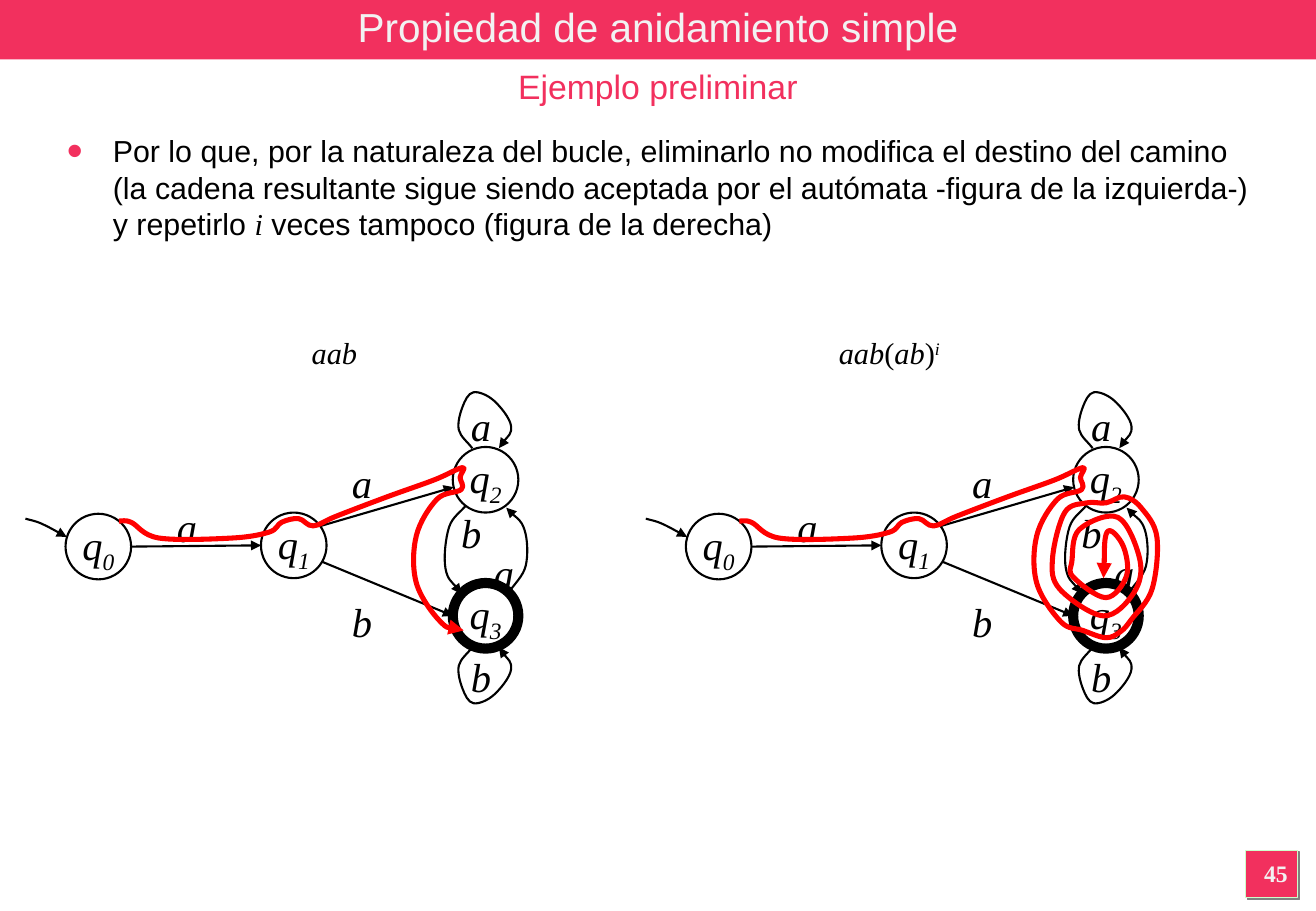
"""Builds the slide on the simple nesting property with two automaton diagrams."""
from math import cos, radians, sin

from lxml import etree
from pptx import Presentation
from pptx.dml.color import RGBColor
from pptx.enum.shapes import MSO_CONNECTOR, MSO_SHAPE
from pptx.enum.text import MSO_ANCHOR, MSO_AUTO_SIZE, PP_ALIGN
from pptx.oxml.ns import qn
from pptx.util import Inches, Pt

RECTANGLE, ELLIPSE = MSO_SHAPE.RECTANGLE, MSO_SHAPE.OVAL
STRAIGHT = MSO_CONNECTOR.STRAIGHT
CENTER, LEFT, MIDDLE = PP_ALIGN.CENTER, PP_ALIGN.LEFT, MSO_ANCHOR.MIDDLE
NO_FIT, GROW = MSO_AUTO_SIZE.NONE, MSO_AUTO_SIZE.SHAPE_TO_FIT_TEXT
PINK, PALE, BLACK, RED = "F2305E", "F2F2F2", "000000", "FF0000"
GREEN, GRAY = "CCFFCC", "808080"
SANS, SERIF = "Arial", "Times New Roman"
SLIDE_WIDTH, SLIDE_HEIGHT = 10.84, 7.5
THIN, ROUTE_WIDTH, FINAL_WIDTH = 1.25, 3, 6

TITLE = "Propiedad de anidamiento simple"
SUBTITLE = "Ejemplo preliminar"
BODY = [
    ("Por lo que, por la naturaleza del bucle, eliminarlo no modifica el destino del camino "
     "(la cadena resultante sigue siendo aceptada por el autómata -figura de la izquierda-) "
     "y repetirlo ", SANS),
    ("i", SERIF),
    (" veces tampoco (figura de la derecha)", SANS),
]
PAGE_NUMBER = "45"

NODE_SIZE = 0.54
NODES = {"0": (0.54, 4.23, THIN), "1": (2.15, 4.22, THIN),
         "2": (3.73, 3.68, THIN), "3": (3.73, 4.8, FINAL_WIDTH)}
STRAIGHT_EDGES = [("1", -36, "2", 167), ("1", 30, "3", 180), ("0", 0, "1", 180)]
EDGE_LETTERS = [("a", 1.36, 4.08), ("a", 2.8, 3.72), ("a", 3.78, 3.25), ("b", 3.78, 5.32),
                ("b", 2.8, 4.87), ("b", 3.7, 4.13), ("a", 3.97, 4.46)]

LOOP_MIRROR = 9.02
LOOP_ON_Q2 = [(3.89, 3.69), (3.78, 3.54), (3.81, 3.35), (3.9, 3.23),
              (4.07, 3.3), (4.21, 3.51), (4.11, 3.69)]
LOOP_ON_Q3 = [(x, LOOP_MIRROR - y) for x, y in LOOP_ON_Q2]
ENTRY = [(0.21, 4.27), (0.34, 4.31), (0.55, 4.42)]
Q2_TO_Q3 = [(3.84, 4.16), (3.7, 4.34), (3.67, 4.68), (3.8, 4.89)]
Q3_TO_Q2 = [(4.19, 4.88), (4.33, 4.66), (4.32, 4.36), (4.17, 4.18)]
CURVED_EDGES = [ENTRY, LOOP_ON_Q2, LOOP_ON_Q3, Q2_TO_Q3, Q3_TO_Q2]

SHARED_ROUTE = [
    (0.98, 4.29), (1.08, 4.3), (1.31, 4.43), (1.91, 4.43), (2.22, 4.38), (2.32, 4.3),
    (2.46, 4.27), (2.58, 4.33), (2.77, 4.25), (3.19, 4.09), (3.58, 3.95), (3.81, 3.85),
    (3.79, 3.93), (3.8, 4.03), (3.6, 4.11), (3.43, 4.41), (3.43, 4.8), (3.63, 5.12)]
DIRECT_END = [(3.82, 5.19)]
OUTER_TURN = [
    (3.81, 5.19), (4, 5.25), (4.12, 5.2), (4.21, 5.1), (4.38, 4.85), (4.42, 4.42),
    (4.29, 4.18), (4.15, 4.09), (4, 4.14), (3.84, 4.14)]
MIDDLE_TURN = [
    (3.66, 4.22), (3.56, 4.6), (3.62, 4.85), (3.98, 5.07), (4.23, 4.88), (4.28, 4.61),
    (4.1, 4.26)]
INNER_TURN = [
    (3.78, 4.36), (3.72, 4.62), (3.73, 4.75), (4, 4.92), (4.17, 4.74), (4.14, 4.49),
    (4.01, 4.38), (3.98, 4.76)]

DIAGRAM_STEP = 5.11
DIAGRAMS = [
    {"route": SHARED_ROUTE + DIRECT_END,
     "caption": [("aab", True, 0)],
     "caption_box": (2.35, 2.7, 0.81, 0.4)},
    {"route": SHARED_ROUTE + OUTER_TURN + MIDDLE_TURN + INNER_TURN,
     "caption": [("aab", True, 0), ("(", False, 0), ("ab", True, 0), (")", False, 0),
                 ("i", True, 30)],
     "caption_box": (6.72, 2.7, 1.21, 0.4)},
]


def color(value):
    return RGBColor.from_string(value)


def rim_point(node, angle):
    """Return the point of a node's circle at an angle measured clockwise from the right."""
    left, top, _ = NODES[node]
    radius = NODE_SIZE / 2
    return (left + radius + radius * cos(radians(angle)),
            top + radius + radius * sin(radians(angle)))


def smooth_handles(points):
    """Return start, then two handles and an end for each smooth (Catmull-Rom) segment."""
    last = len(points) - 1
    slopes = []
    for index in range(last + 1):
        before, after = max(index - 1, 0), min(index + 1, last)
        span = 3 * (after - before)
        slopes.append([(end - start) / span for start, end in zip(points[before], points[after])])
    handles = [points[0]]
    for index in range(last):
        (x1, y1), (x2, y2) = points[index:index + 2]
        (dx1, dy1), (dx2, dy2) = slopes[index:index + 2]
        handles += [(x1 + dx1, y1 + dy1), (x2 - dx2, y2 - dy2), (x2, y2)]
    return handles


def set_font(paragraph, name, size, value, alignment=CENTER):
    paragraph.alignment = alignment
    paragraph.space_before = Pt(0)
    paragraph.font.name = name
    paragraph.font.size = Pt(size)
    paragraph.font.color.rgb = color(value)


def place(shape, box):
    shape.left, shape.top, shape.width, shape.height = map(Inches, box)


def add_box(slide, box, kind, fill=None, line=None, width=THIN):
    shape = slide.shapes.add_shape(kind, *map(Inches, box))
    shape.shadow.inherit = False
    if fill:
        shape.fill.solid()
        shape.fill.fore_color.rgb = color(fill)
    else:
        shape.fill.background()
    if line:
        shape.line.color.rgb = color(line)
        shape.line.width = Pt(width)
    else:
        shape.line.fill.background()
    return shape


def add_text(slide, box, runs, name, size, value, wrap=False):
    frame = slide.shapes.add_textbox(*map(Inches, box)).text_frame
    frame.word_wrap = wrap
    frame.auto_size = GROW
    paragraph = frame.paragraphs[0]
    set_font(paragraph, name, size, value)
    for text, italic, baseline in runs:
        run = paragraph.add_run()
        run.text = text
        run.font.italic = italic
        if baseline:
            run.font._element.set("baseline", str(baseline * 1000))
    return paragraph


def style_arrow(shape, value, width):
    shape.line.color.rgb = color(value)
    shape.line.width = Pt(width)
    etree.SubElement(shape.line._get_or_add_ln(), qn("a:tailEnd"), type="triangle")


def add_straight_arrow(slide, start, end, offset):
    (x1, y1), (x2, y2) = start, end
    ends = map(Inches, (x1 + offset, y1, x2 + offset, y2))
    connector = slide.shapes.add_connector(STRAIGHT, *ends)
    style_arrow(connector, BLACK, THIN)
    etree.SubElement(connector._element.spPr, qn("a:effectLst"))


def add_curved_arrow(slide, points, offset, value=BLACK, width=THIN):
    start, *rest = [(Inches(x + offset), Inches(y)) for x, y in smooth_handles(points)]
    builder = slide.shapes.build_freeform(*start)
    builder.add_line_segments(rest, close=False)
    shape = builder.convert_to_shape()
    shape.shadow.inherit = False
    shape.fill.background()
    outline = shape._element.find(".//" + qn("a:path"))
    segments = outline.findall(qn("a:lnTo"))
    for first in range(0, len(segments), 3):
        curve = etree.SubElement(outline, qn("a:cubicBezTo"))
        for segment in segments[first:first + 3]:
            curve.append(segment[0])
            outline.remove(segment)
    style_arrow(shape, value, width)


def add_automaton(slide, offset, route):
    for points in CURVED_EDGES:
        add_curved_arrow(slide, points, offset)
    for source, exit_angle, target, entry_angle in STRAIGHT_EDGES:
        add_straight_arrow(slide, rim_point(source, exit_angle),
                           rim_point(target, entry_angle), offset)
    for digit, (x, y, width) in NODES.items():
        left = x + offset
        add_box(slide, (left, y, NODE_SIZE, NODE_SIZE), ELLIPSE, line=BLACK, width=width)
        add_text(slide, (left + 0.04, y, 0.46, 0.56),
                 [("q", True, 0), (digit, True, -25)], SERIF, 24, BLACK)
    for letter, x, y in EDGE_LETTERS:
        add_text(slide, (x + offset, y, 0.36, 0.5), [(letter, True, 0)], SERIF, 24, BLACK)
    add_curved_arrow(slide, route, offset, RED, ROUTE_WIDTH)


def fill_title(slide, title):
    band = add_box(slide, (0, 0, SLIDE_WIDTH, 0.49), RECTANGLE, PINK)
    slide.shapes._spTree.insert(2, band._element)
    place(title, (0, 0, SLIDE_WIDTH, 0.44))
    title.text_frame.text = TITLE
    title.text_frame.auto_size = NO_FIT
    title.text_frame.vertical_anchor = MIDDLE
    set_font(title.text_frame.paragraphs[0], SANS, 24, PALE)
    add_text(slide, (0, 0.49, SLIDE_WIDTH, 0.44), [(SUBTITLE, False, 0)], SANS, 20, PINK, True)


def fill_body(body):
    place(body, (0.45, 1.04, 9.96, 1.29))
    body.text_frame.auto_size = NO_FIT
    paragraph = body.text_frame.paragraphs[0]
    properties = paragraph._p.get_or_add_pPr()
    properties.set("marL", str(Inches(0.38)))
    properties.set("indent", str(Inches(-0.38)))
    bullet_color = etree.SubElement(properties, qn("a:buClr"))
    etree.SubElement(bullet_color, qn("a:srgbClr"), val=PINK)
    etree.SubElement(properties, qn("a:buSzPct"), val="150000")
    etree.SubElement(properties, qn("a:buFont"), typeface=SANS)
    etree.SubElement(properties, qn("a:buChar"), char="•")
    set_font(paragraph, SANS, 18, BLACK, LEFT)
    for text, name in BODY:
        run = paragraph.add_run()
        run.text = text
        run.font.name = name
        run.font.italic = name == SERIF


def add_page_number(slide):
    badge = add_box(slide, (10.26, 7, 0.43, 0.39), RECTANGLE, PINK, GREEN, 0.75)
    effects = badge._element.spPr.find(qn("a:effectLst"))
    shadow = etree.SubElement(effects, qn("a:outerShdw"), dist=str(Pt(1.4)), dir="2700000")
    etree.SubElement(shadow, qn("a:srgbClr"), val=GRAY)
    number = add_text(slide, (10.24, 7.02, 0.54, 0.35), [(PAGE_NUMBER, False, 0)],
                      SERIF, 14, PALE, True)
    number.font.bold = True


def main():
    presentation = Presentation()
    presentation.slide_width = Inches(SLIDE_WIDTH)
    presentation.slide_height = Inches(SLIDE_HEIGHT)
    slide = presentation.slides.add_slide(presentation.slide_layouts[1])
    title, body = slide.placeholders
    fill_title(slide, title)
    fill_body(body)
    for index, diagram in enumerate(DIAGRAMS):
        add_automaton(slide, index * DIAGRAM_STEP, diagram["route"])
        add_text(slide, diagram["caption_box"], diagram["caption"], SERIF, 18, BLACK)
    add_page_number(slide)
    presentation.save("out.pptx")


if __name__ == "__main__":
    main()
